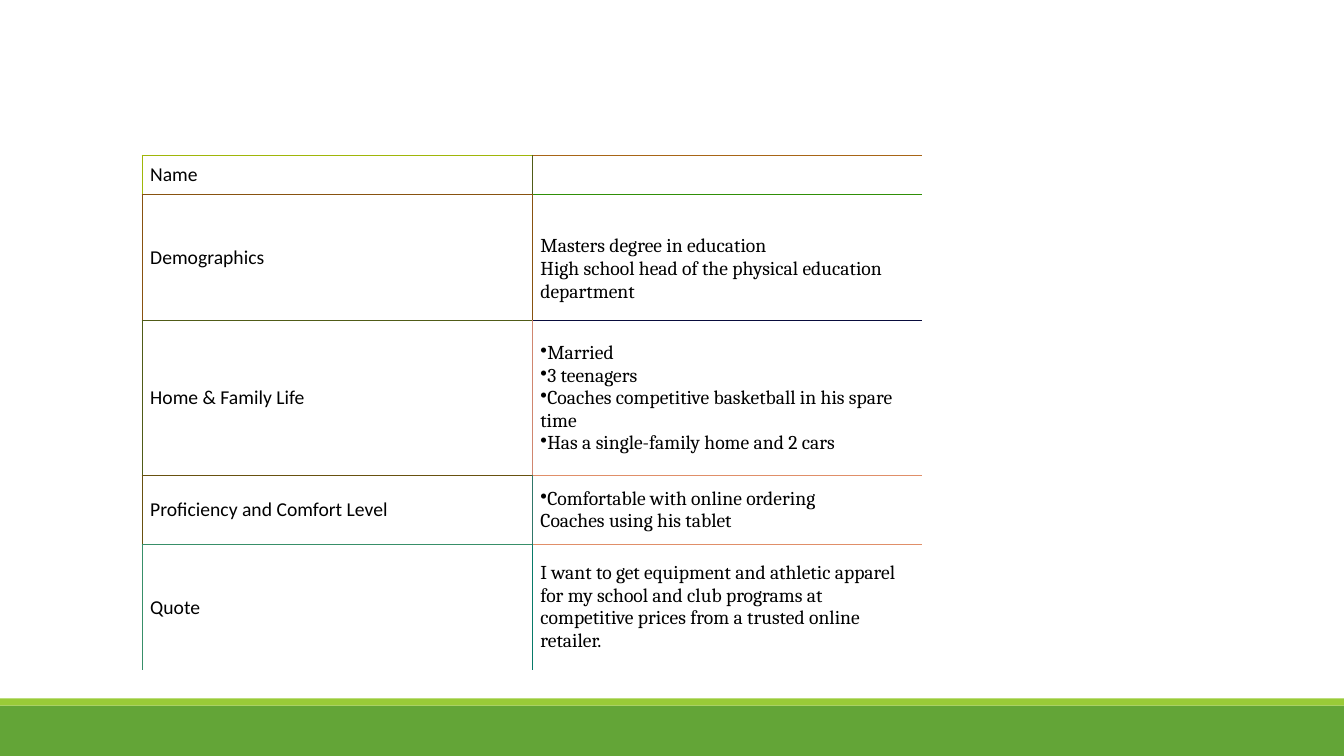
from dataclasses import dataclass
from typing import Optional

from lxml import etree
from pptx import Presentation
from pptx.dml.color import RGBColor
from pptx.enum import shapes, text
from pptx.oxml import ns
from pptx.util import Inches, Pt


@dataclass(frozen=True)
class Theme:
    paper: str = "FFFFFF"
    ink: str = "000000"
    green: str = "63A537"
    lime: str = "99CB38"
    label_font: str = "Calibri"
    detail_font: str = "Cambria"
    size: float = 14
    rule: float = 0.75


@dataclass(frozen=True)
class Band:
    top: float
    height: float
    color: str


@dataclass(frozen=True)
class Trait:
    label: str
    details: tuple[str, ...]
    height: float
    left: str
    middle: str
    below: tuple[Optional[str], Optional[str]]
    bulleted: bool = False
    lead: float = 0.04


THEME = Theme()
BANDS = [Band(7, 0.5, THEME.green), Band(6.93, 0.07, THEME.lime)]
TOP_EDGES = ("A0B609", "A86516")
TRAITS = [
    Trait("Name", (), 0.39, "A0B609", "505B17", ("88520F", "308F07")),
    Trait("Demographics",
          ("Masters degree in education\vHigh school head of the physical education department",),
          1.25, "88520F", "88520F", ("505B17", "080B3C"), lead=0.27),
    Trait("Home & Family Life",
          ("Married", "3 teenagers", "Coaches competitive basketball in his spare time",
           "Has a single-family home and 2 cars"),
          1.54, "505B17", "D0866F", ("68510F", "E08F69"), bulleted=True),
    Trait("Proficiency and Comfort Level",
          ("Comfortable with online ordering\vCoaches using his tablet",),
          0.68, "68510F", "307669", ("388F69", "E08F69"), bulleted=True),
    Trait("Quote",
          ("I want to get equipment and athletic apparel for my school and club programs "
           "at competitive prices from a trusted online retailer.",),
          1.25, "388F69", "087A69", (None, None)),
]


def draw_band(page, band: Band, width: int) -> None:
    bar = page.shapes.add_shape(shapes.MSO_SHAPE.RECTANGLE, 0, Inches(band.top),
                                width, Inches(band.height))
    bar.shadow.inherit = False
    bar.fill.solid()
    bar.fill.fore_color.rgb = RGBColor.from_string(band.color)
    bar.line.fill.background()


def draw_borders(cell, edges: dict[str, Optional[str]]) -> None:
    properties = cell._tc.get_or_add_tcPr()
    for side, color in edges.items():
        line = etree.SubElement(properties, ns.qn(f"a:ln{side}"), w=str(Pt(THEME.rule)))
        if color is None:
            etree.SubElement(line, ns.qn("a:noFill"))
        else:
            fill = etree.SubElement(line, ns.qn("a:solidFill"))
            etree.SubElement(fill, ns.qn("a:srgbClr"), val=color)


def add_bullet(para) -> None:
    properties = para._p.get_or_add_pPr()
    properties.set("marL", "0")
    properties.set("indent", "0")
    etree.SubElement(properties, ns.qn("a:buChar"), char="•")


def fill_cell(cell, lines: tuple[str, ...], font: str, bulleted: bool, lead: float) -> None:
    cell.fill.solid()
    cell.fill.fore_color.rgb = RGBColor.from_string(THEME.paper)
    layout = {"vertical_anchor": text.MSO_ANCHOR.MIDDLE,
              "margin_left": Inches(0.08), "margin_right": Inches(0.08),
              "margin_top": Inches(lead), "margin_bottom": Inches(0.04)}
    for name, value in layout.items():
        setattr(cell, name, value)
    frame = cell.text_frame
    for index, line in enumerate(lines):
        para = frame.add_paragraph() if index else frame.paragraphs[0]
        para.text = line
        if bulleted:
            add_bullet(para)
        for span in para.runs:
            for name, value in {"name": font, "size": Pt(THEME.size)}.items():
                setattr(span.font, name, value)
            span.font.color.rgb = RGBColor.from_string(THEME.ink)


def draw_persona(page, traits: list[Trait]) -> None:
    height = sum(trait.height for trait in traits)
    table = page.shapes.add_table(len(traits), 2, Inches(1.41), Inches(1.54),
                                  Inches(7.74), Inches(height)).table
    for name in ("first_row", "horz_banding"):
        setattr(table, name, False)
    above = TOP_EDGES
    for index, trait in enumerate(traits):
        table.rows[index].height = Inches(trait.height)
        sides = (trait.left, trait.middle, None)
        contents = (((trait.label,), THEME.label_font, False, 0.04),
                    (trait.details, THEME.detail_font, trait.bulleted, trait.lead))
        for column, content in enumerate(contents):
            cell = table.cell(index, column)
            draw_borders(cell, {"L": sides[column], "R": sides[column + 1],
                                "T": above[column], "B": trait.below[column]})
            fill_cell(cell, *content)
        above = trait.below


def main() -> None:
    deck = Presentation()
    deck.slide_width, deck.slide_height = Inches(13.33), Inches(7.5)
    page = deck.slides.add_slide(deck.slide_layouts[6])

    # Green footer
    for band in BANDS:
        draw_band(page, band, deck.slide_width)

    # Persona table
    draw_persona(page, TRAITS)
    deck.save("out.pptx")


if __name__ == "__main__":
    main()
